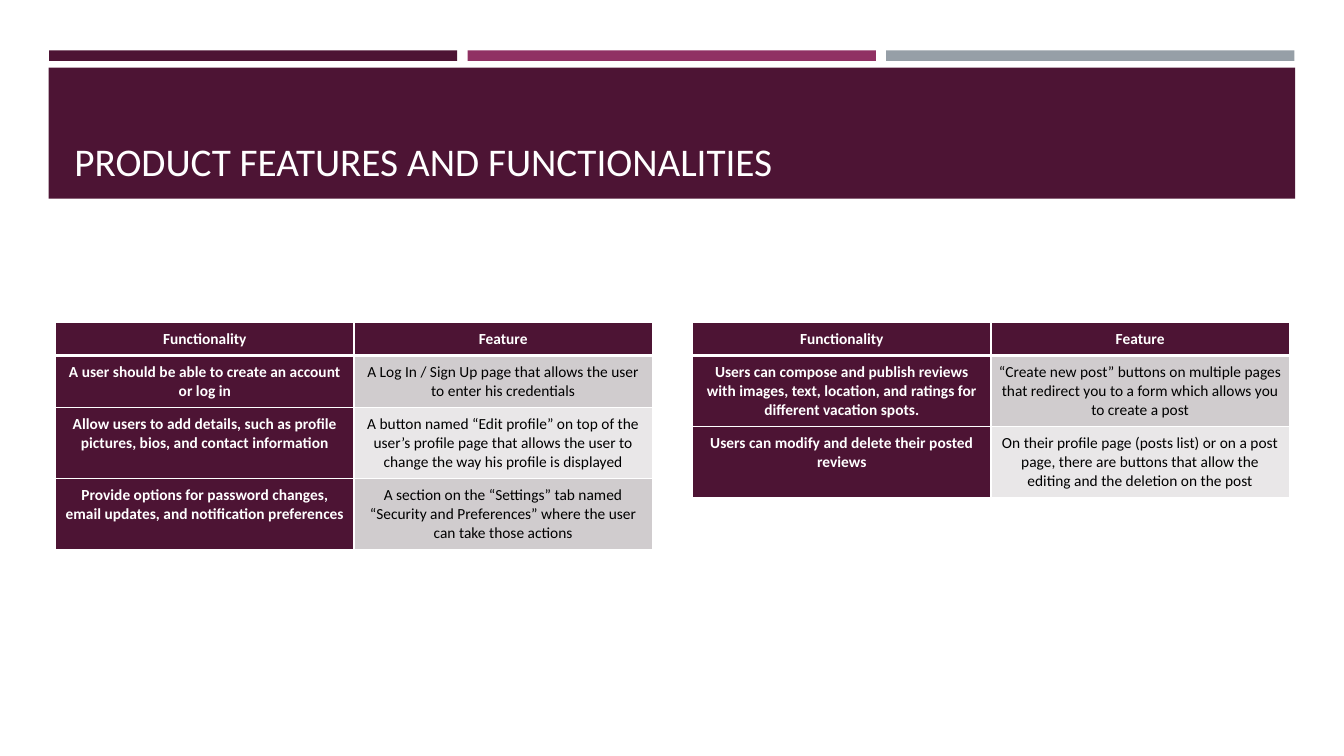
from lxml import etree
from pptx import Presentation
from pptx.dml.color import RGBColor
from pptx.enum import shapes, text
from pptx.oxml import ns
from pptx.util import Pt

PLUM, BERRY, SLATE, WHITE, BLACK = "4D1434", "903163", "969FA7", "FFFFFF", "000000"
STRIPES = ("D0CCCE", "E9E7E8")
LINE_HEIGHT, CELL_INSET, COLUMN_WIDTH = 13.4, 5, 213.1
HEADINGS = (1, "Functionality", "Feature")

# Each row: number of text lines, functionality, feature
ACCOUNT_ROWS = [
    (2, "A user should be able to create an account or log in",
     "A Log In / Sign Up page that allows the user to enter his credentials"),
    (3, "Allow users to add details, such as profile pictures, bios, and contact information",
     "A button named “Edit profile” on top of the user’s profile page that allows "
     "the user to change the way his profile is displayed"),
    (3, "Provide options for password changes, email updates, and notification preferences",
     "A section on the “Settings” tab named “Security and Preferences” where the user "
     "can take those actions"),
]
REVIEW_ROWS = [
    (3, "Users can compose and publish reviews with images, text, location, and ratings "
     "for different vacation spots.",
     "“Create new post” buttons on multiple pages that redirect you to a form which "
     "allows you to create a post"),
    (3, "Users can modify and delete their posted reviews",
     "On their profile page (posts list) or on a post page, there are buttons that allow "
     "the editing and the deletion on the post"),
]


def set_all(target, values):
    for name, value in values.items():
        setattr(target, name, value)


def paint(fill, colour):
    fill.solid()
    fill.fore_color.rgb = RGBColor.from_string(colour)


def write(frame, words, size, colour, bold=False, align=text.PP_ALIGN.LEFT):
    para = frame.paragraphs[0]
    para.alignment = align
    span = para.add_run()
    span.text = words
    set_all(span.font, {"name": "Calibri", "size": Pt(size), "bold": bold})
    span.font.color.rgb = RGBColor.from_string(colour)


def add_band(page, left, top, width, height, colour):
    band = page.shapes.add_shape(
        shapes.MSO_SHAPE.RECTANGLE, Pt(left), Pt(top), Pt(width), Pt(height))
    band.shadow.inherit = False
    paint(band.fill, colour)
    band.line.fill.background()


def place_title(page, words):
    """Fill the title placeholder and bring it in front of the bands."""
    title = page.shapes.title
    set_all(title, {"left": Pt(46), "top": Pt(55.4), "width": Pt(868), "height": Pt(80)})
    set_all(title.text_frame, {"vertical_anchor": text.MSO_ANCHOR.BOTTOM,
                               "word_wrap": True, "auto_size": text.MSO_AUTO_SIZE.NONE})
    write(title.text_frame, words, 28, WHITE)
    page.shapes.element.append(title.element)


def add_borders(cell, widths):
    properties = cell._tc.get_or_add_tcPr()
    for side, width in widths.items():
        line = etree.SubElement(properties, ns.qn(f"a:ln{side}"), w=str(Pt(width)))
        fill = etree.SubElement(line, ns.qn("a:solidFill"))
        etree.SubElement(fill, ns.qn("a:srgbClr"), val=WHITE)


def fill_cell(cell, words, row, column):
    add_borders(cell, {"L": 1, "R": 1, "T": 3 if row == 1 else 1, "B": 3 if row == 0 else 1})
    emphasised = row == 0 or column == 0
    paint(cell.fill, PLUM if emphasised else STRIPES[(row - 1) % 2])
    for side in ("left", "right", "top", "bottom"):
        setattr(cell, f"margin_{side}", Pt(CELL_INSET))
    write(cell.text_frame, words, 11, WHITE if emphasised else BLACK,
          emphasised, text.PP_ALIGN.CENTER)


def add_feature_table(page, left, body_rows):
    rows = [HEADINGS, *body_rows]
    heights = [lines * LINE_HEIGHT + 2 * CELL_INSET for lines, *_ in rows]
    table = page.shapes.add_table(
        len(rows), 2, Pt(left), Pt(230.4), Pt(2 * COLUMN_WIDTH), Pt(sum(heights))).table
    for column in table.columns:
        column.width = Pt(COLUMN_WIDTH)
    for r, (_, *words) in enumerate(rows):
        table.rows[r].height = Pt(heights[r])
        for c, phrase in enumerate(words):
            fill_cell(table.cell(r, c), phrase, r, c)


def main():
    deck = Presentation()
    set_all(deck, {"slide_width": Pt(960), "slide_height": Pt(540)})
    page = deck.slides.add_slide(deck.slide_layouts[5])
    for i, colour in enumerate((PLUM, BERRY, SLATE)):
        add_band(page, 35 + 299 * i, 36, 291.6, 7.5, colour)
    add_band(page, 34.8, 48.4, 890.4, 93.6, PLUM)
    place_title(page, "PRODUCT FEATURES AND FUNCTIONALITIES")
    add_feature_table(page, 39.8, ACCOUNT_ROWS)
    add_feature_table(page, 494.8, REVIEW_ROWS)
    deck.save("out.pptx")


if __name__ == "__main__":
    main()
